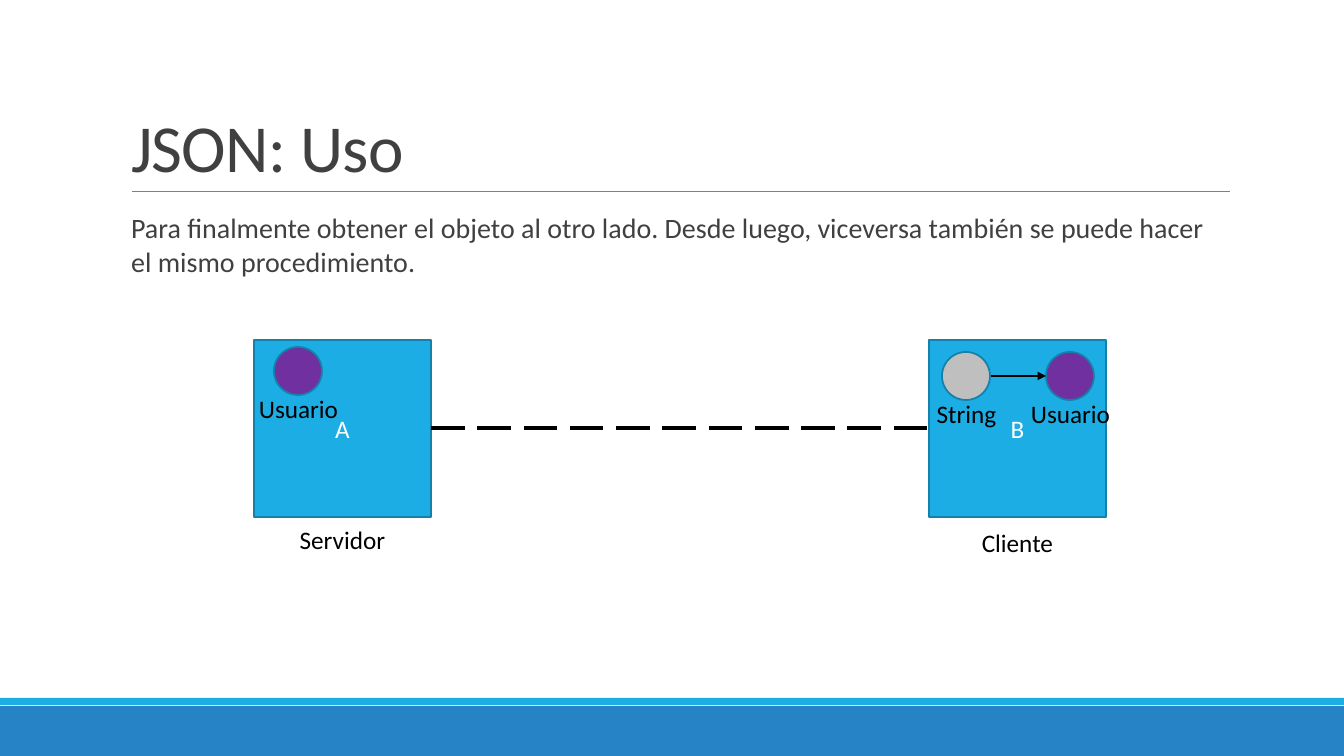
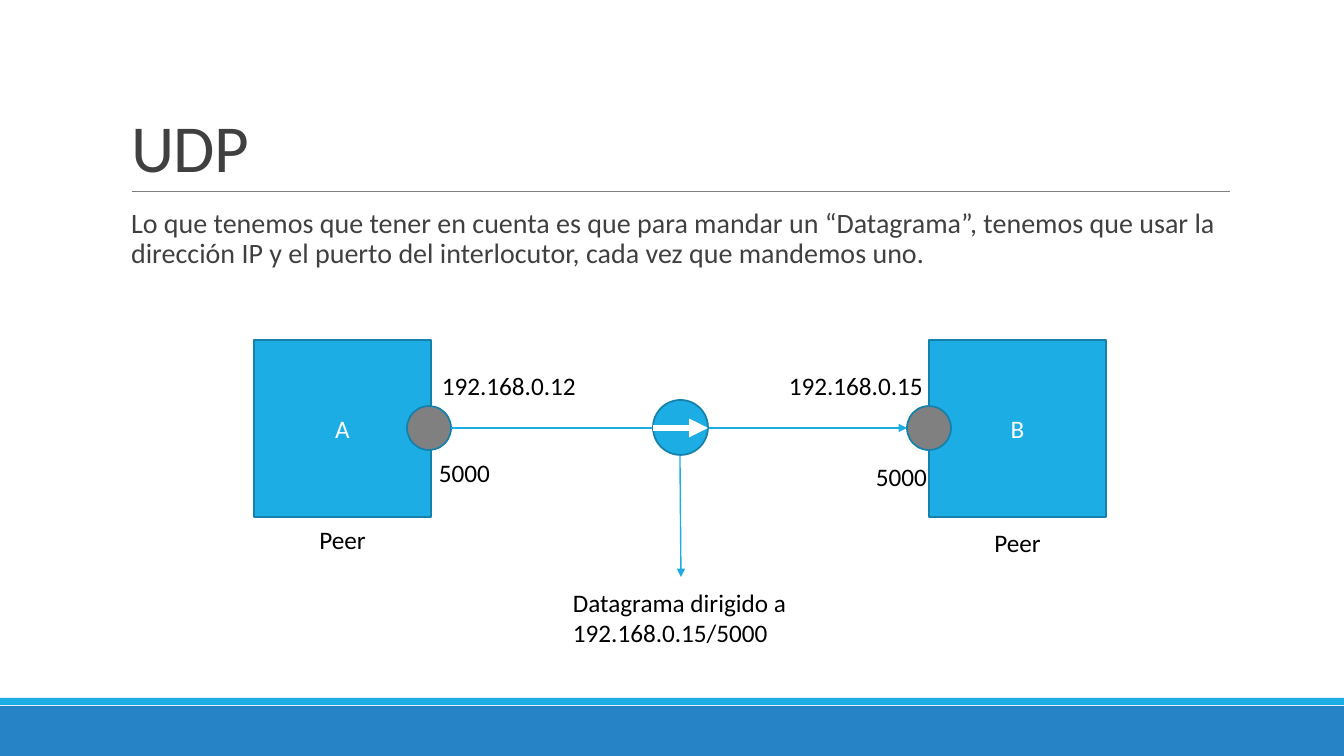
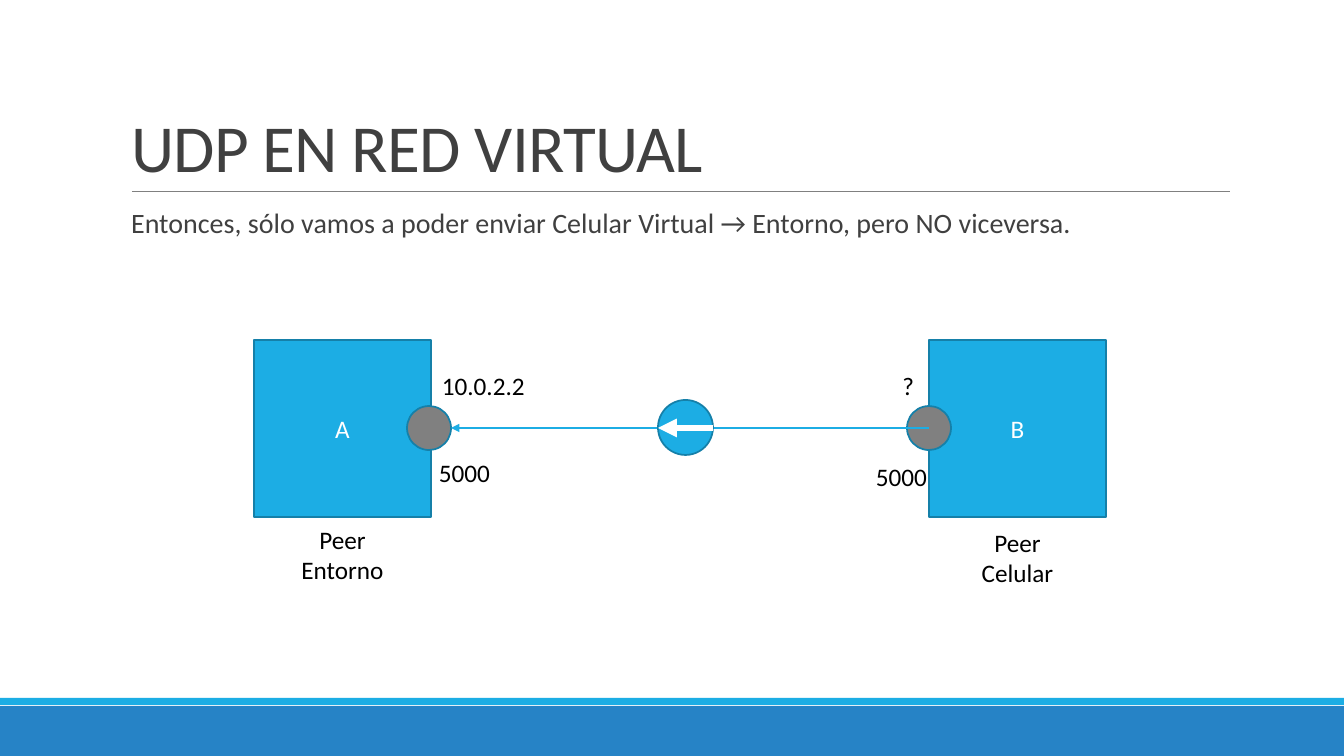
"""Build three slides on exchanging objects and datagrams between two peers."""
from lxml import etree
from pptx import Presentation
from pptx import util as u
from pptx.dml.color import RGBColor
from pptx.enum import dml, shapes, text
from pptx.oxml import ns

SCALE = 914400 / 100.8
FONT = "Calibri"
SKY = RGBColor(0x1C, 0xAD, 0xE4)
BLUE = RGBColor(0x26, 0x83, 0xC6)
EDGE = RGBColor(0x15, 0x80, 0xA9)
GRAY = RGBColor(0x80, 0x80, 0x80)
SILVER = RGBColor(0xBF, 0xBF, 0xBF)
PURPLE = RGBColor(0x70, 0x30, 0xA0)
DARK = RGBColor(0x40, 0x40, 0x40)
BLACK = RGBColor(0, 0, 0)
WHITE = RGBColor(0xFF, 0xFF, 0xFF)
RECT = shapes.MSO_SHAPE.RECTANGLE
OVAL = shapes.MSO_SHAPE.OVAL
LEFT, CENTER, RIGHT = text.PP_ALIGN.LEFT, text.PP_ALIGN.CENTER, text.PP_ALIGN.RIGHT
MIDDLE = 428


def place(page, area, lines=(), align=CENTER, kind=None, fill=None, edge=EDGE, wrap=True):
    """Add a filled shape, or a text box when no kind is given."""
    area = [round(side * SCALE) for side in area]
    if kind is None:
        box = page.shapes.add_textbox(*area)
        box.text_frame.auto_size = text.MSO_AUTO_SIZE.SHAPE_TO_FIT_TEXT
    else:
        box = page.shapes.add_shape(kind, *area)
        box.shadow.inherit = False
        box.fill.solid()
        box.fill.fore_color.rgb = fill
        if edge is None:
            box.line.fill.background()
        else:
            box.line.color.rgb = edge
            box.line.width = u.Pt(1.25)
    frame = box.text_frame
    frame.word_wrap = wrap
    for index, line in enumerate(lines):
        para = frame.add_paragraph() if index else frame.paragraphs[0]
        para.alignment = align
        span = para.add_run()
        span.text = line
        span.font.name = FONT
        span.font.size = u.Pt(18)
        span.font.color.rgb = BLACK if kind is None else WHITE
    return box


def link(page, start, end, color, width=1, dash=None, arrow=True):
    """Add a straight line, with an arrowhead at its end if wanted."""
    ends = [round(side * SCALE) for side in (*start, *end)]
    line = page.shapes.add_connector(shapes.MSO_CONNECTOR.STRAIGHT, *ends)
    line.line.color.rgb = color
    line.line.width = u.Pt(width)
    if dash is not None:
        line.line.dash_style = dash
    if arrow:
        etree.SubElement(line.line._get_or_add_ln(), ns.qn("a:tailEnd"), type="triangle")
    etree.SubElement(line.element.spPr, ns.qn("a:effectLst"))
    return line


deck = Presentation()
deck.slide_width = round(1344 * SCALE)
deck.slide_height = round(756 * SCALE)
layout = deck.slide_layouts[1]

CONTENT = [
    ("JSON: Uso",
     "Para finalmente obtener el objeto al otro lado. Desde luego, viceversa también "
     "se puede hacer el mismo procedimiento.",
     (121, 204, 1097, 85), 7, 1.0, ["Servidor"], ["Cliente"]),
    ("UDP",
     "Lo que tenemos que tener en cuenta es que para mandar un “Datagrama”, tenemos que "
     "usar la dirección IP y el puerto del interlocutor, cada vez que mandemos uno.",
     (121, 204, 1109, 71), 5, 0.9, ["Peer"], ["Peer"]),
    ("UDP EN RED VIRTUAL",
     "Entonces, sólo vamos a poder enviar Celular Virtual → Entorno, pero NO viceversa.",
     (121, 204, 1109, 71), 5, 0.9, ["Peer", "Entorno"], ["Peer", "Celular"]),
]

pages = []
for heading, message, body_area, inset, spacing, left_role, right_role in CONTENT:
    page = deck.slides.add_slide(layout)
    pages.append(page)
    title, body = page.shapes.title, page.placeholders[1]
    for holder, area, words, size in (
        (title, (121, 31, 1109, 160), heading, 48),
        (body, body_area, message, 20),
    ):
        holder.left, holder.top, holder.width, holder.height = [round(side * SCALE) for side in area]
        holder.text_frame.auto_size = text.MSO_AUTO_SIZE.NONE
        holder.text_frame.word_wrap = True
        para = holder.text_frame.paragraphs[0]
        para.alignment = LEFT
        span = para.add_run()
        span.text = words
        span.font.name = FONT
        span.font.size = u.Pt(size)
        span.font.color.rgb = DARK

    title.text_frame.vertical_anchor = text.MSO_ANCHOR.BOTTOM
    title_para = title.text_frame.paragraphs[0]
    title_para.line_spacing = 0.85
    title_para.runs[0]._r.get_or_add_rPr().set("spc", "-50")

    frame = body.text_frame
    frame.vertical_anchor = text.MSO_ANCHOR.TOP
    frame.margin_left = frame.margin_right = 0
    frame.margin_top = frame.margin_bottom = round(inset * SCALE)
    body_para = frame.paragraphs[0]
    body_para.line_spacing = spacing
    body_para.space_before = u.Pt(0 if spacing == 1 else 12)
    body_para.space_after = u.Pt(0 if spacing == 1 else 2)
    props = body_para._p.get_or_add_pPr()
    props.set("marL", "91440")
    props.set("indent", "-91440")
    bullet_color = etree.SubElement(props, ns.qn("a:buClr"))
    etree.SubElement(bullet_color, ns.qn("a:srgbClr"), val=str(SKY))
    etree.SubElement(props, ns.qn("a:buChar"), char=" ")

    for name, role, left, label_top in (("A", left_role, 254, 519), ("B", right_role, 929, 522)):
        place(page, (left, 340, 177, 177), [name], kind=RECT, fill=SKY)
        place(page, (left + 5, label_top, 167, 10 + 30 * len(role)), role)

json_page, udp_page, virtual_page = pages

decor = [
    place(json_page, (0, 706, 1344, 50), kind=RECT, fill=BLUE, edge=None),
    place(json_page, (0, 698, 1344, 7), kind=RECT, fill=SKY, edge=None),
    link(json_page, (132, 191), (1230, 191), GRAY, 0.5, arrow=False),
]
for index, item in enumerate(decor):
    item.element.xpath(".//p:cNvPr")[0].set("id", str(101 + index))
    layout.shapes.element.insert(2 + index, item.element)

link(json_page, (431, MIDDLE), (929, MIDDLE), BLACK, 3, dml.MSO_LINE.LONG_DASH, arrow=False)
for name, left, top, color in (
    ("Usuario", 1046, 352, PURPLE),
    ("Usuario", 274, 347, PURPLE),
    ("String", 942, 352, SILVER),
):
    place(json_page, (left, top, 48, 48), kind=OVAL, fill=color)
    place(json_page, (left - 59, top + 41, 167, 40), [name])
link(json_page, (991, 376), (1046, 376), BLACK)

for page, left_ip, right_ip, right_ip_left, right_align, start, end, packet_left in (
    (udp_page, "192.168.0.12", "192.168.0.15", 779, LEFT, 451, 907, 653),
    (virtual_page, "10.0.2.2", "?", 752, RIGHT, 929, 451, 658),
):
    for port_left in (407, 907):
        place(page, (port_left, 406, 44, 44), kind=OVAL, fill=GRAY)
    for words, left, top, align in (
        (left_ip, 432, 365, LEFT),
        ("5000", 429, 452, LEFT),
        (right_ip, right_ip_left, 365, right_align),
        ("5000", 866, 456, LEFT),
    ):
        place(page, (left, top, 172, 40), [words], align)
    link(page, (start, MIDDLE), (end, MIDDLE), SKY)
    place(page, (packet_left, 400, 55, 55), kind=OVAL, fill=SKY)
    tip, tail = packet_left + 55, packet_left
    if end < start:
        tip, tail = tail, tip
    link(page, (tail, MIDDLE), (tip, MIDDLE), WHITE, 4.5)

link(udp_page, (680, 456), (681, 577), SKY)
place(udp_page, (563, 582, 236, 71), ["Datagrama dirigido a", "192.168.0.15/5000"], LEFT, wrap=False)

deck.save("out.pptx")
